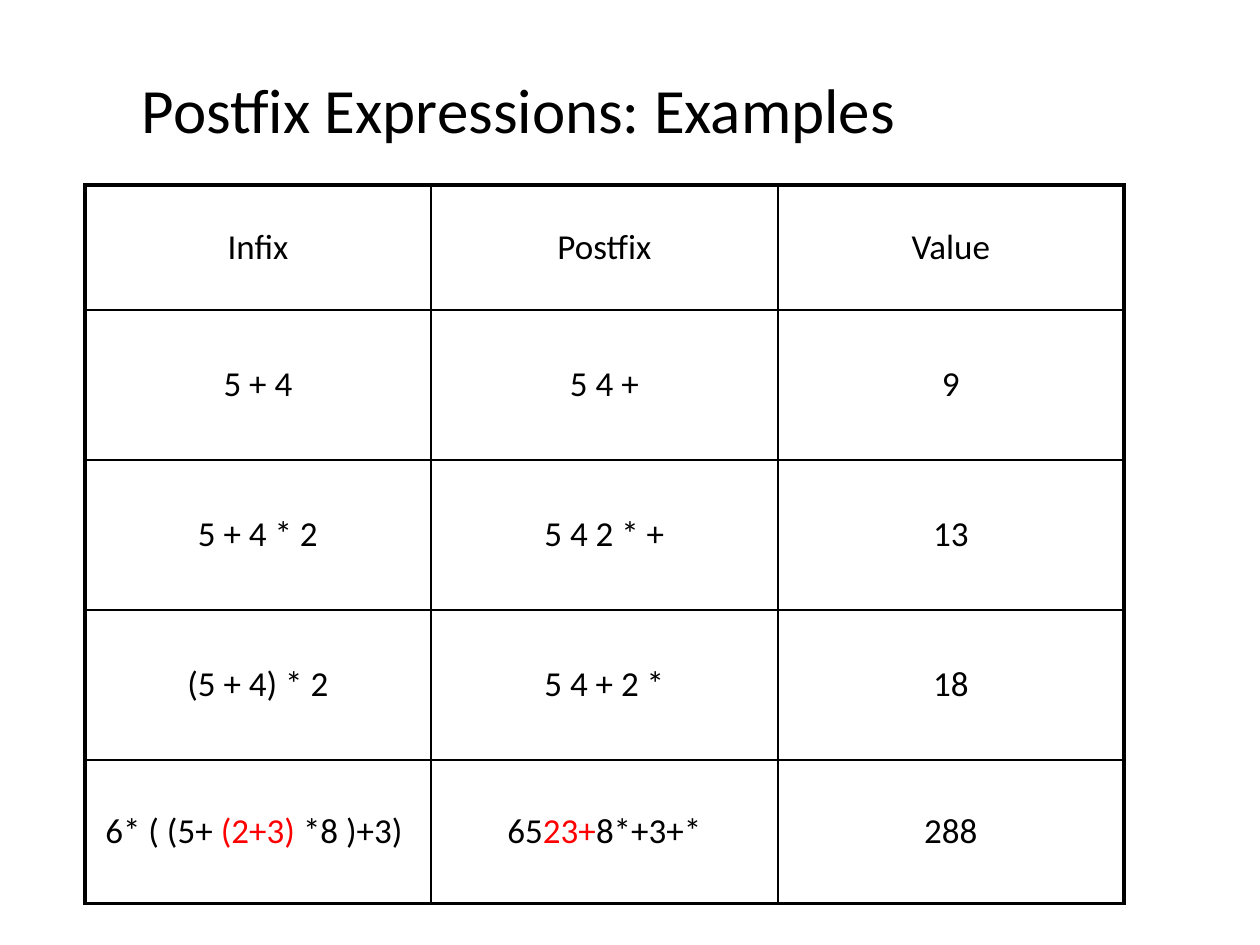
import pptx
import pptx.util
import pptx.dml.color
import pptx.enum.text
import pptx.oxml
import pptx.oxml.ns
import lxml.etree

PX = 914400 // 126
theme = {
    "font": "Calibri",
    "ink": "000000",
    "mark": "FF0000",
    "title": 36,
    "body": 20,
    "frame": 2.25,
    "rule": 1,
}


def write(para, text, size, color):
    run = para.add_run()
    run.text = text
    run.font.color.rgb = pptx.dml.color.RGBColor.from_string(color)
    form = {"name": theme["font"], "size": pptx.util.Pt(size), "bold": False}
    for key, val in form.items():
        setattr(run.font, key, val)


def edge(cell, side, width):
    line = lxml.etree.SubElement(
        cell._tc.get_or_add_tcPr(),
        pptx.oxml.ns.qn("a:ln" + side),
        w=str(pptx.util.Pt(width)),
    )
    fill = lxml.etree.SubElement(line, pptx.oxml.ns.qn("a:solidFill"))
    lxml.etree.SubElement(fill, pptx.oxml.ns.qn("a:srgbClr"), val=theme["ink"])


deck = pptx.Presentation()
deck.slide_width = 1260 * PX
deck.slide_height = 945 * PX
slide = deck.slides.add_slide(deck.slide_layouts[6])

box = slide.shapes.add_textbox(64 * PX, 56 * PX, 1196 * PX, 115 * PX)
frame = box.text_frame
form = {
    "word_wrap": True,
    "vertical_anchor": pptx.enum.text.MSO_ANCHOR.MIDDLE,
    "margin_left": 78 * PX,
}
for key, val in form.items():
    setattr(frame, key, val)
head = frame.paragraphs[0]
head.line_spacing = 0.9
write(head, "Postfix Expressions: Examples", theme["title"], theme["ink"])

ink, mark = theme["ink"], theme["mark"]
rows = [
    ["Infix", "Postfix", "Value"],
    ["5 + 4", "5 4 +", "9"],
    ["5 + 4 * 2", "5 4 2 * +", "13"],
    ["(5 + 4) * 2", "5 4 + 2 *", "18"],
    [
        [("6* ( (5+ ", ink), ("(2+3) ", mark), ("*8 )+3) ", ink)],
        [("65", ink), ("23+", mark), ("8*+3+*", ink)],
        "288",
    ],
]
wide = [346, 347, 346]
tall = [125, 150, 150, 150, 144]

table = slide.shapes.add_table(
    len(tall), len(wide), 85 * PX, 185 * PX, sum(wide) * PX, sum(tall) * PX
).table
table.first_row = False
table.horz_banding = False
for col, width in zip(table.columns, wide):
    col.width = width * PX
for row, height in zip(table.rows, tall):
    row.height = height * PX

for r, row in enumerate(rows):
    for c, text in enumerate(row):
        cell = table.cell(r, c)
        cell.vertical_anchor = pptx.enum.text.MSO_ANCHOR.MIDDLE
        outer = {
            "L": c == 0,
            "R": c == len(wide) - 1,
            "T": r == 0,
            "B": r == len(tall) - 1,
        }
        for side, out in outer.items():
            edge(cell, side, theme["frame" if out else "rule"])
        cell.fill.background()
        para = cell.text_frame.paragraphs[0]
        para.alignment = pptx.enum.text.PP_ALIGN.CENTER
        parts = [(text, ink)] if isinstance(text, str) else text
        for part, color in parts:
            write(para, part, theme["body"], color)

deck.save("out.pptx")
